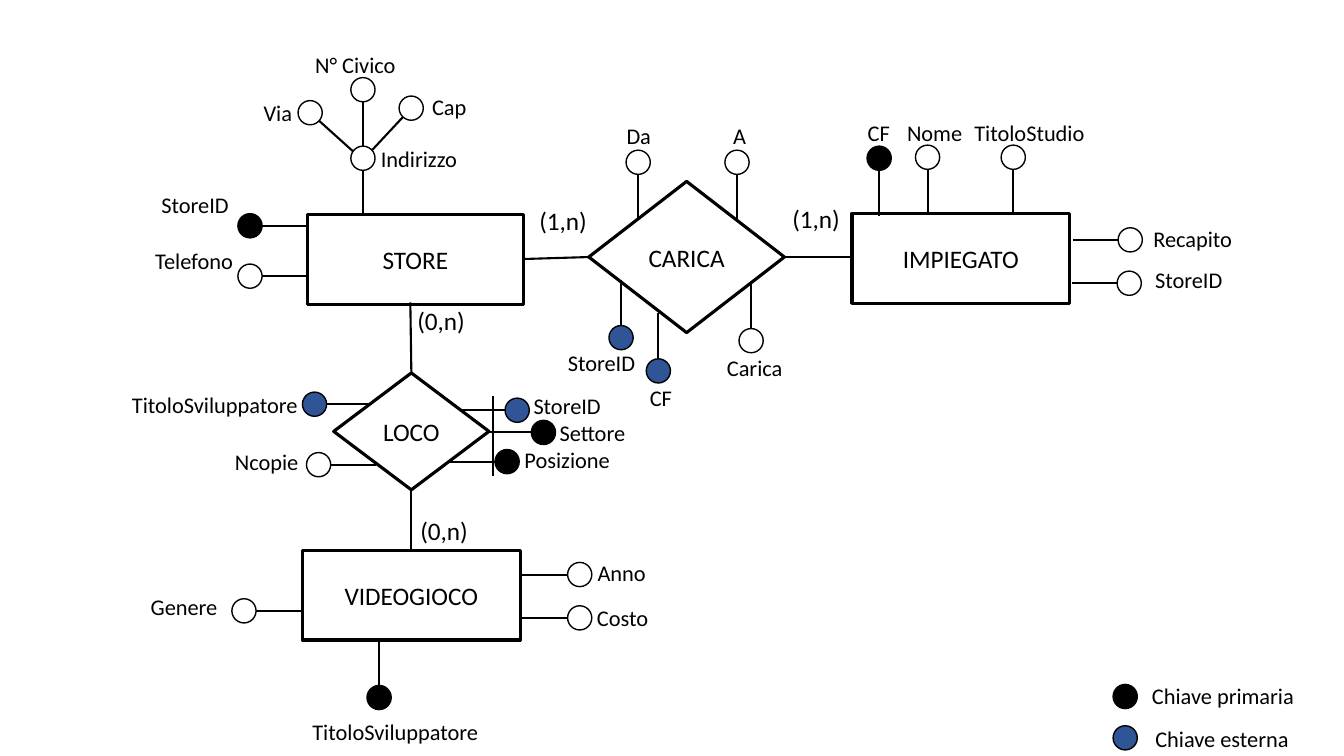
from dataclasses import dataclass
from math import cos, radians, sin

from lxml.etree import SubElement
from pptx import Presentation
from pptx.dml.color import RGBColor
from pptx.enum.shapes import MSO_CONNECTOR, MSO_SHAPE
from pptx.enum.text import MSO_ANCHOR, MSO_AUTO_SIZE, PP_ALIGN
from pptx.oxml.ns import qn
from pptx.util import Inches, Pt


@dataclass(frozen=True)
class Theme:
    font: str = "Calibri"
    ink: RGBColor = RGBColor(0x00, 0x00, 0x00)
    plain: RGBColor = RGBColor(0xFF, 0xFF, 0xFF)
    foreign: RGBColor = RGBColor(0x2F, 0x55, 0x97)
    entity_size: Pt = Pt(18)
    label_size: Pt = Pt(16)
    outline: Pt = Pt(2.25)
    link: Pt = Pt(1.5)
    ring: Pt = Pt(1)


THEME = Theme()
PLAIN, PRIMARY, FOREIGN = THEME.plain, THEME.ink, THEME.foreign
RIGHT, UP, LEFT, DOWN = 0, 90, 180, 270
DIAMETER = 0.24
STEM = 0.45

ENTITIES = [
    ("STORE", MSO_SHAPE.RECTANGLE, 3.05, 2.13, 2.14, 0.89),
    ("IMPIEGATO", MSO_SHAPE.RECTANGLE, 8.45, 2.12, 2.16, 0.89),
    ("VIDEOGIOCO", MSO_SHAPE.RECTANGLE, 3, 5.46, 2.16, 0.89),
    ("CARICA", MSO_SHAPE.DIAMOND, 5.84, 1.8, 1.94, 1.5),
    ("LOCO", MSO_SHAPE.DIAMOND, 3.31, 3.7, 1.54, 1.16),
]

LINKS = [
    (5.19, 2.57, 5.84, 2.55),
    (7.76, 2.55, 8.45, 2.55),
    (4.07, 3, 4.08, 3.7),
    (4.08, 4.86, 4.08, 5.46),
    (4.89, 4.72, 4.89, 3.93),
]

CARDINALITIES = [
    ("(1,n)", 5.25, 1.99),
    ("(1,n)", 7.76, 1.97),
    ("(0,n)", 4.04, 2.98),
    ("(0,n)", 4.07, 5.06),
]

# name, key, stem start, stem angle, label left, top, width
ATTRIBUTES = [
    ("StoreID", PRIMARY, (3.05, 2.24), LEFT, (1.21, 1.85, 1.45)),
    ("Telefono", PLAIN, (3.05, 2.74), LEFT, (1.2, 2.4, 1.45)),
    ("Indirizzo", PLAIN, (3.6, 2.14), UP, (3.63, 1.39, 1.05)),
    ("N° Civico", PLAIN, (3.6, 1.46), UP, (3, 0.46, 1.05)),
    ("Via", PLAIN, (3.5, 1.5), 138, (2.23, 0.93, 1.05)),
    ("Cap", PLAIN, (3.69, 1.49), 47, (3.93, 0.87, 1.05)),
    ("CF", PRIMARY, (8.72, 2.14), UP, (8.44, 1.13, 0.55)),
    ("Nome", PLAIN, (9.2, 2.13), UP, (8.63, 1.13, 1.28)),
    ("TitoloStudio", PLAIN, (10.05, 2.13), UP, (9.44, 1.13, 1.54)),
    ("Recapito", PLAIN, (10.64, 2.38), RIGHT, (11.06, 2.18, 1.54)),
    ("StoreID", PLAIN, (10.63, 2.81), RIGHT, (11.02, 2.59, 1.54)),
    ("Da", PLAIN, (6.33, 2.18), UP, (6.06, 1.16, 0.55)),
    ("A", PLAIN, (7.31, 2.18), UP, (7.06, 1.16, 0.55)),
    ("StoreID", FOREIGN, (6.16, 2.78), DOWN, (5.24, 3.41, 1.45)),
    ("CF", FOREIGN, (6.53, 3.11), DOWN, (6.28, 3.76, 0.55)),
    ("Carica", PLAIN, (7.45, 2.81), DOWN, (6.76, 3.46, 1.45)),
    ("TitoloSviluppatore", FOREIGN, (3.69, 4.01), LEFT, (1.19, 3.83, 1.88)),
    ("Ncopie", PLAIN, (3.73, 4.61), LEFT, (1.92, 4.4, 1.45)),
    ("StoreID", FOREIGN, (4.56, 4.07), RIGHT, (4.9, 3.84, 1.45)),
    ("Settore", PRIMARY, (4.82, 4.29), RIGHT, (5.15, 4.11, 1.45)),
    ("Posizione", PRIMARY, (4.46, 4.58), RIGHT, (4.9, 4.38, 1.45)),
    ("Genere", PLAIN, (2.99, 6.06), LEFT, (1.1, 5.84, 1.45)),
    ("Anno", PLAIN, (5.18, 5.7), RIGHT, (5.64, 5.5, 1.05)),
    ("Costo", PLAIN, (5.18, 6.13), RIGHT, (5.65, 5.94, 1.05)),
    ("TitoloSviluppatore", PRIMARY, (3.76, 6.35), DOWN, (2.98, 7.08, 1.88)),
]

LEGEND = [
    ("Chiave primaria", PRIMARY, (11.16, 6.91), (11.15, 6.72, 1.96)),
    ("Chiave esterna", FOREIGN, (11.16, 7.32), (11.14, 7.14, 1.96)),
]


def write(frame, wording, size, align):
    paragraph = frame.paragraphs[0]
    paragraph.text = wording
    paragraph.alignment = align
    paragraph.font.name = THEME.font
    paragraph.font.size = size
    paragraph.font.color.rgb = THEME.ink


def add_label(slide, wording, left, top, width, height=0.37,
              size=THEME.label_size, align=PP_ALIGN.CENTER):
    label = slide.shapes.add_textbox(
        Inches(left), Inches(top), Inches(width), Inches(height))
    label.text_frame.word_wrap = True
    label.text_frame.auto_size = MSO_AUTO_SIZE.SHAPE_TO_FIT_TEXT
    write(label.text_frame, wording, size, align)


def add_link(slide, x1, y1, x2, y2):
    link = slide.shapes.add_connector(
        MSO_CONNECTOR.STRAIGHT, Inches(x1), Inches(y1), Inches(x2), Inches(y2))
    link.line.color.rgb = THEME.ink
    link.line.width = THEME.link
    SubElement(link._element.spPr, qn("a:effectLst"))


def add_outlined(slide, preset, left, top, width, height, line_width):
    outlined = slide.shapes.add_shape(
        preset, Inches(left), Inches(top), Inches(width), Inches(height))
    outlined.shadow.inherit = False
    outlined.line.color.rgb = THEME.ink
    outlined.line.width = line_width
    return outlined


def add_entity(slide, name, preset, left, top, width, height):
    entity = add_outlined(slide, preset, left, top, width, height, THEME.outline)
    entity.fill.background()
    entity.text_frame.vertical_anchor = MSO_ANCHOR.MIDDLE
    write(entity.text_frame, name, THEME.entity_size, PP_ALIGN.CENTER)


def add_node(slide, key, x, y):
    node = add_outlined(slide, MSO_SHAPE.OVAL, x - DIAMETER / 2, y - DIAMETER / 2,
                        DIAMETER, DIAMETER, THEME.ring)
    node.fill.solid()
    node.fill.fore_color.rgb = key


def add_attribute(slide, name, key, start, angle, label_box):
    x, y = start
    dx, dy = cos(radians(angle)), -sin(radians(angle))
    reach = STEM + DIAMETER / 2
    add_link(slide, x, y, x + STEM * dx, y + STEM * dy)
    add_node(slide, key, x + reach * dx, y + reach * dy)
    add_label(slide, name, *label_box)


def main():
    deck = Presentation()
    deck.slide_width, deck.slide_height = Inches(13.33), Inches(7.5)
    slide = deck.slides.add_slide(deck.slide_layouts.get_by_name("Blank"))
    for entity in ENTITIES:
        add_entity(slide, *entity)
    for link in LINKS:
        add_link(slide, *link)
    for cardinality, left, top in CARDINALITIES:
        add_label(slide, cardinality, left, top, 0.92, 0.4,
                  THEME.entity_size, PP_ALIGN.LEFT)
    for attribute in ATTRIBUTES:
        add_attribute(slide, *attribute)
    for meaning, key, center, label_box in LEGEND:
        add_node(slide, key, *center)
        add_label(slide, meaning, *label_box)
    deck.save("out.pptx")


if __name__ == "__main__":
    main()
